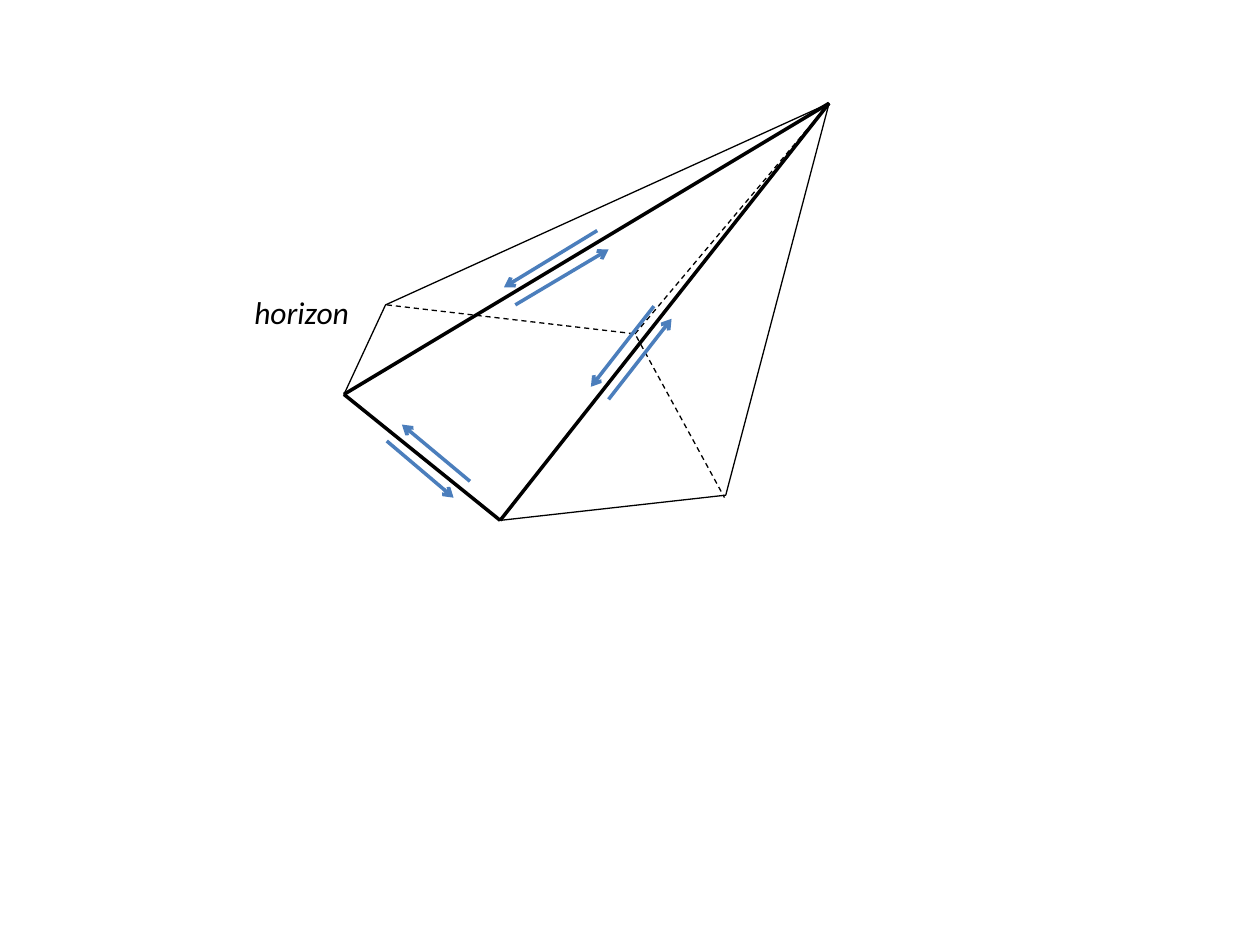
import pptx
import pptx.dml.color
import pptx.enum.dml
import pptx.enum.shapes
import pptx.enum.text
import pptx.oxml
import pptx.oxml.ns
import pptx.util
from pptx.util import Inches

BLACK = pptx.dml.color.RGBColor(0x00, 0x00, 0x00)
BLUE = pptx.dml.color.RGBColor(0x4B, 0x7E, 0xBC)
THIN, THICK = 0.75, 2

# Corners of the solid, in inches
APEX = (6.58, 0.82)
LEFT = (2.73, 3.13)
FRONT = (3.97, 4.13)
RIGHT = (5.76, 3.93)
BACK = (3.06, 2.42)
INNER = (5.04, 2.65)

OUTLINE = [BACK, LEFT, FRONT, RIGHT, APEX]
HIDDEN_BASE = [(3.07, 2.42), INNER, (5.75, 3.95)]

# Edges: start, end, width, dashed
EDGES = [
    (LEFT, APEX, THICK, False),
    (FRONT, APEX, THICK, False),
    (INNER, APEX, THIN, True),
    (LEFT, FRONT, THICK, False),
]

# Opposed arrows beside each thick edge: start, tip
ARROWS = [
    ((4.09, 2.42), (4.83, 1.98)),
    ((4.74, 1.83), (4.00, 2.28)),
    ((4.83, 3.17), (5.33, 2.53)),
    ((5.19, 2.43), (4.69, 3.07)),
    ((3.07, 3.50), (3.60, 3.95)),
    ((3.73, 3.82), (3.19, 3.37)),
]

LABEL = ("horizon", 1.92, 2.28, 0.97, 0.40)


def style_line(line, color, width, dashed=False):
    line.color.rgb = color
    line.width = pptx.util.Pt(width)
    if dashed:
        line.dash_style = pptx.enum.dml.MSO_LINE.DASH


def add_path(page, points, closed, dashed):
    corners = [(Inches(x), Inches(y)) for x, y in points]
    builder = page.shapes.build_freeform(*corners[0])
    builder.add_line_segments(corners[1:], close=closed)
    shape = builder.convert_to_shape()
    shape.shadow.inherit = False
    shape.fill.background()
    style_line(shape.line, BLACK, THIN, dashed)


def add_line(page, start, end, color, width, dashed=False, arrow=False):
    line = page.shapes.add_connector(
        pptx.enum.shapes.MSO_CONNECTOR.STRAIGHT,
        *[Inches(value) for value in start + end])
    style_line(line.line, color, width, dashed)
    properties = line._element.spPr
    if arrow:
        tip = pptx.oxml.parse_xml(
            f'<a:tailEnd {pptx.oxml.ns.nsdecls("a")} type="arrow"/>')
        line.line._get_or_add_ln().append(tip)
    properties.append(pptx.oxml.parse_xml(
        f'<a:effectLst {pptx.oxml.ns.nsdecls("a")}/>'))


def add_label(page, text, *place):
    box = page.shapes.add_textbox(*[Inches(value) for value in place])
    frame = box.text_frame
    frame.text = text
    frame.word_wrap = False
    frame.auto_size = pptx.enum.text.MSO_AUTO_SIZE.SHAPE_TO_FIT_TEXT
    font = frame.paragraphs[0].runs[0].font
    font.name = "Calibri"
    font.size = pptx.util.Pt(18)
    font.italic = True
    font.color.rgb = BLACK


def main():
    deck = pptx.Presentation()
    deck.slide_width, deck.slide_height = Inches(10), Inches(7.5)
    page = deck.slides.add_slide(deck.slide_layouts[6])

    # Solid: visible outline, hidden base, inner edges
    add_path(page, OUTLINE, closed=True, dashed=False)
    add_path(page, HIDDEN_BASE, closed=False, dashed=True)
    for start, end, width, dashed in EDGES:
        add_line(page, start, end, BLACK, width, dashed)

    add_label(page, *LABEL)

    # Direction arrows
    for start, tip in ARROWS:
        add_line(page, start, tip, BLUE, THICK, arrow=True)

    deck.save("out.pptx")


if __name__ == "__main__":
    main()
